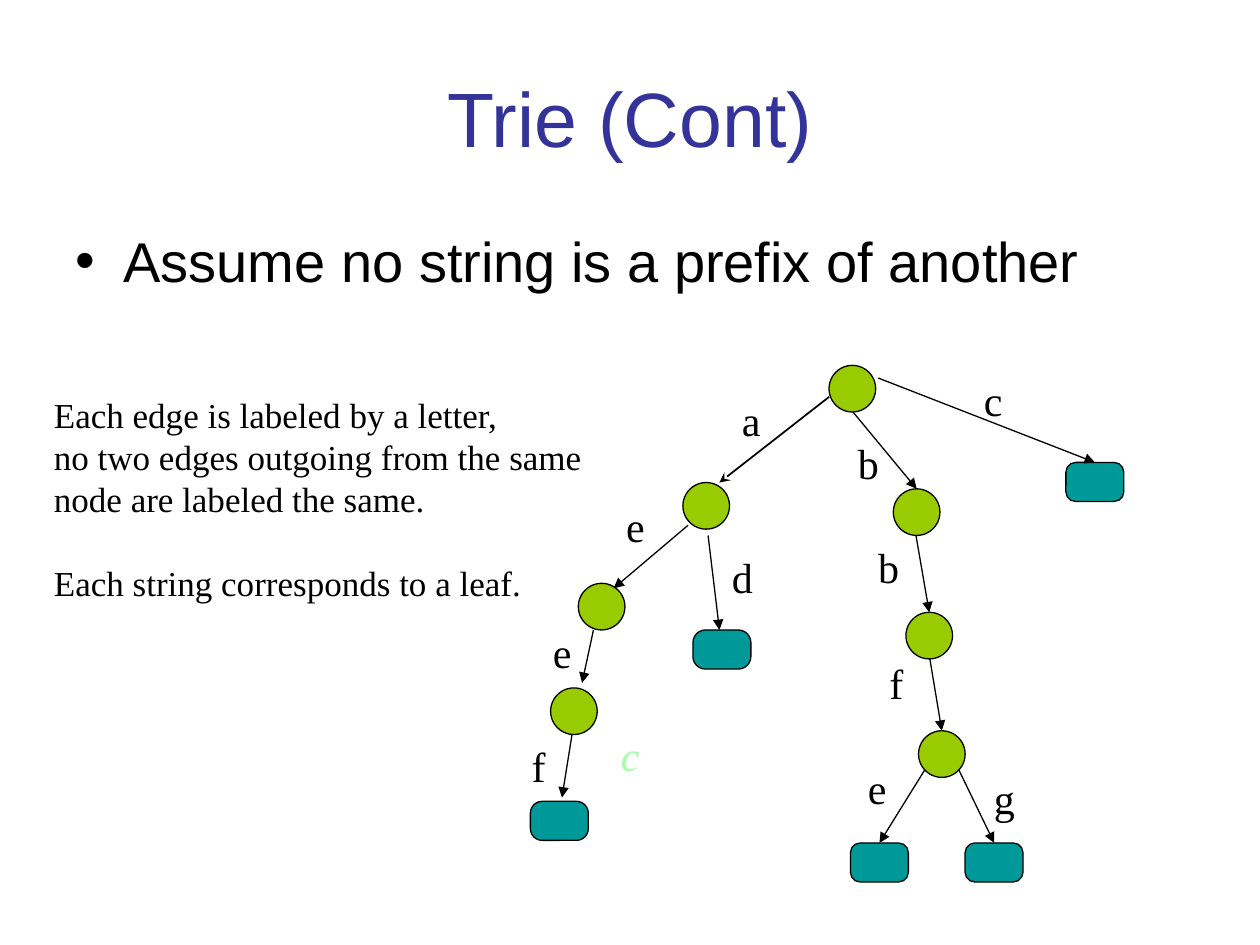
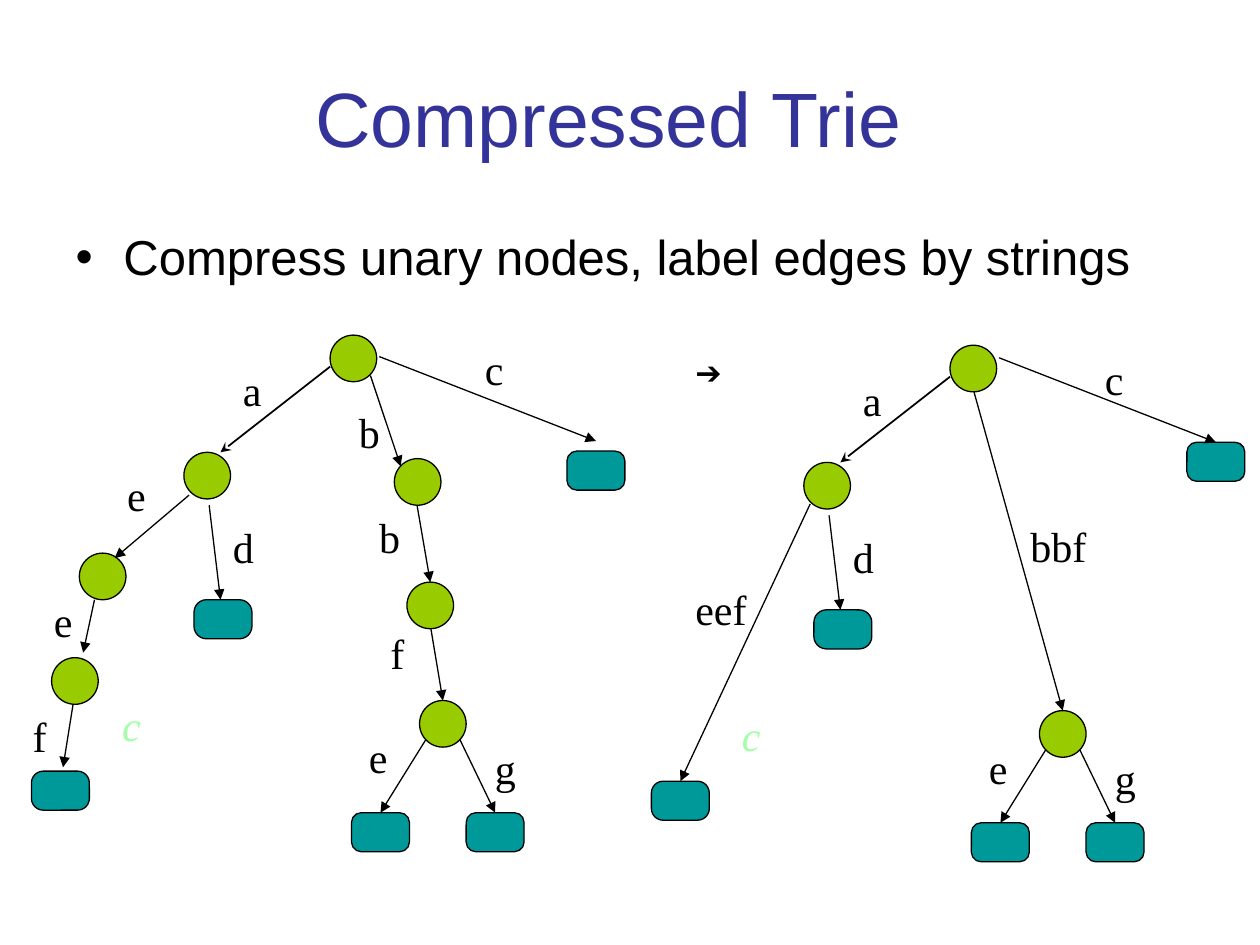
from typing import NamedTuple

from lxml import etree
from pptx import Presentation
from pptx.dml.color import RGBColor
from pptx.enum import shapes, text
from pptx.oxml.ns import qn
from pptx.slide import Slide
from pptx.text.text import TextFrame
from pptx.util import Inches, Pt

# Shared look
BLACK = RGBColor(0x00, 0x00, 0x00)
TITLE_BLUE = RGBColor(0x33, 0x33, 0x99)
NODE_GREEN = RGBColor(0x99, 0xCC, 0x00)
LEAF_TEAL = RGBColor(0x00, 0x99, 0x99)
PALE_GREEN = RGBColor(0xA3, 0xFF, 0xA7)
SANS, SERIF = "Arial", "Times New Roman"
NODE_SIZE = 0.37
LEAF_WIDTH, LEAF_HEIGHT = 0.46, 0.31

Point = tuple[float, float]


class Node(NamedTuple):
    left: float
    top: float


class Leaf(NamedTuple):
    left: float
    top: float
    rounding: float = 0.25


class Edge(NamedTuple):
    start: Point
    end: Point | str  # a point, or the vertex whose top is reached
    head: str = "triangle"
    weight: float = 0.75


class Label(NamedTuple):
    letters: str
    left: float
    top: float
    width: float = 0.42
    color: RGBColor = BLACK
    italic: bool = False


class Trie(NamedTuple):
    vertices: dict[str, Node | Leaf]
    edges: list[Edge]
    labels: list[Label]


# Parts found in every trie
COMMON = Trie(
    {
        "root": Node(6.58, 2.9),
        "a": Node(5.42, 3.83),
        "branch": Node(7.29, 5.8),
        "aeef": Leaf(4.21, 6.36, 0.3),
        "ad": Leaf(5.5, 5, 0.32),
        "bbfe": Leaf(6.75, 6.69),
        "bbfg": Leaf(7.66, 6.69),
    },
    [
        Edge((6.58, 3.15), (5.71, 3.83), "stealth", 1),
        Edge((5.62, 4.25), (5.71, 5)),
        Edge((7.34, 6.11), "bbfe"),
        Edge((7.61, 6.11), "bbfg"),
    ],
    [
        Label("a", 5.79, 3.08, 0.75),
        Label("c", 7.71, 2.92, 0.5),
        Label("d", 5.71, 4.33, 0.75),
        Label("e", 6.79, 6),
        Label("g", 7.79, 6.08),
        Label("c", 4.83, 5.74, 0.58, PALE_GREEN, True),
    ],
)

# Unary nodes, present until the trie is compressed
UNARY = Trie(
    {
        "ae": Node(4.59, 4.63),
        "aee": Node(4.37, 5.46),
        "b": Node(7.09, 3.88),
        "bb": Node(7.19, 4.86),
    },
    [
        Edge((5.46, 4.17), (4.87, 4.67)),
        Edge((4.71, 5), (4.62, 5.42)),
        Edge((4.54, 5.83), (4.46, 6.33)),
        Edge((7.27, 4.25), "bb"),
        Edge((7.38, 5.23), "branch"),
    ],
    [
        Label("e", 4.87, 3.92, 0.75),
        Label("e", 4.29, 4.92, 0.75),
        Label("f", 4.12, 5.83, 0.75),
        Label("b", 6.71, 3.42),
        Label("b", 6.87, 4.25),
        Label("f", 6.96, 5.17),
    ],
)

# The c leaf and the remaining edges of each trie
PLAIN_ENDS = Trie(
    {"c": Leaf(8.46, 3.67)},
    [Edge((6.97, 3), "c"), Edge((6.77, 3.27), "b")],
    [],
)
BEFORE_ENDS = Trie(
    {"c": Leaf(8.46, 3.82)},
    [Edge((6.97, 3.07), (8.69, 3.74)), Edge((6.9, 3.22), (7.14, 3.94))],
    [],
)
AFTER_ENDS = Trie(
    {"c": Leaf(8.46, 3.67)},
    [
        Edge((6.97, 3), "c"),
        Edge((6.77, 3.27), "branch"),
        Edge((5.47, 4.16), "aeef"),
    ],
    [Label("bbf", 7.12, 4.24, 0.83), Label("eef", 4.46, 4.74, 0.75)],
)


def combine(*parts: Trie) -> Trie:
    return Trie(
        {key: vertex for part in parts for key, vertex in part.vertices.items()},
        [edge for part in parts for edge in part.edges],
        [label for part in parts for label in part.labels],
    )


def write(frame: TextFrame, *lines: str, size: float, font: str = SERIF,
          color: RGBColor = BLACK, italic: bool = False, bullet: bool = False,
          align: text.PP_ALIGN = text.PP_ALIGN.LEFT) -> None:
    """Fill a frame with one paragraph per line."""
    frame.word_wrap = True
    for index, line in enumerate(lines):
        paragraph = frame.add_paragraph() if index else frame.paragraphs[0]
        if bullet:
            properties = paragraph._p.get_or_add_pPr()
            properties.set("marL", str(Inches(0.38)))
            properties.set("indent", str(-Inches(0.38)))
            etree.SubElement(properties, qn("a:buChar")).set("char", "•")
        paragraph.alignment = align
        paragraph.space_before = Pt(0)
        run = paragraph.add_run()
        run.text = line
        run.font.size = Pt(size)
        run.font.name = font
        run.font.color.rgb = color
        run.font.italic = italic


def add_text(slide: Slide, left: float, top: float, width: float, height: float,
             *lines: str, **style) -> TextFrame:
    frame = slide.shapes.add_textbox(
        Inches(left), Inches(top), Inches(width), Inches(height)).text_frame
    write(frame, *lines, **style)
    frame.auto_size = text.MSO_AUTO_SIZE.SHAPE_TO_FIT_TEXT
    return frame


def draw_vertex(slide: Slide, vertex: Node | Leaf, dx: float, dy: float):
    is_leaf = isinstance(vertex, Leaf)
    kind = shapes.MSO_SHAPE.ROUNDED_RECTANGLE if is_leaf else shapes.MSO_SHAPE.OVAL
    width, height = (LEAF_WIDTH, LEAF_HEIGHT) if is_leaf else (NODE_SIZE, NODE_SIZE)
    drawn = slide.shapes.add_shape(
        kind, Inches(vertex.left + dx), Inches(vertex.top + dy),
        Inches(width), Inches(height))
    if is_leaf:
        drawn.adjustments[0] = vertex.rounding
    drawn.shadow.inherit = False
    drawn.fill.solid()
    drawn.fill.fore_color.rgb = LEAF_TEAL if is_leaf else NODE_GREEN
    drawn.line.color.rgb = BLACK
    drawn.line.width = Pt(0.75)
    return drawn


def draw_edge(slide: Slide, edge: Edge, drawn: dict, dx: float, dy: float) -> None:
    x, y = edge.start
    reaches_vertex = isinstance(edge.end, str)
    end_x, end_y = edge.start if reaches_vertex else edge.end
    arrow = slide.shapes.add_connector(
        shapes.MSO_CONNECTOR.STRAIGHT, Inches(x + dx), Inches(y + dy),
        Inches(end_x + dx), Inches(end_y + dy))
    if reaches_vertex:
        arrow.end_connect(drawn[edge.end], 0)
    arrow.line.color.rgb = BLACK
    arrow.line.width = Pt(edge.weight)
    etree.SubElement(arrow.line._get_or_add_ln(), qn("a:tailEnd")).set("type", edge.head)
    etree.SubElement(arrow._element.spPr, qn("a:effectLst"))


def draw_trie(slide: Slide, trie: Trie, dx: float = 0, dy: float = 0) -> None:
    drawn = {key: draw_vertex(slide, vertex, dx, dy)
             for key, vertex in trie.vertices.items()}
    for edge in trie.edges:
        draw_edge(slide, edge, drawn, dx, dy)
    for label in trie.labels:
        add_text(slide, label.left + dx, label.top + dy, label.width, 0.5,
                 label.letters, size=24, color=label.color, italic=label.italic)


def add_slide(deck, heading: str, point: str, point_size: float) -> Slide:
    slide = deck.slides.add_slide(deck.slide_layouts[1])
    title, body = slide.shapes.title, slide.placeholders[1]
    for holder, top, height in ((title, 0.3, 1.25), (body, 1.75, 0.75)):
        holder.left, holder.top = Inches(0.5), Inches(top)
        holder.width, holder.height = Inches(9), Inches(height)
        holder.text_frame.auto_size = text.MSO_AUTO_SIZE.NONE
    title.text_frame.vertical_anchor = text.MSO_ANCHOR.MIDDLE
    write(title.text_frame, heading, size=44, font=SANS, color=TITLE_BLUE,
          align=text.PP_ALIGN.CENTER)
    write(body.text_frame, point, size=point_size, font=SANS, bullet=True)
    return slide


def main() -> None:
    deck = Presentation()
    deck.slide_width, deck.slide_height = Inches(10), Inches(7.5)

    # Trie with one letter per edge
    plain = add_slide(deck, "Trie (Cont)", "Assume no string is a prefix of another", 32)
    draw_trie(plain, combine(COMMON, UNARY, PLAIN_ENDS))
    notes = add_text(
        plain, 0.33, 3.07, 4.5, 1.77,
        "Each edge is labeled by a letter,",
        "no two edges outgoing from the same node are labeled the same.",
        "Each string corresponds to a leaf.", size=20)
    notes.paragraphs[-1].space_before = Pt(24)

    # Trie before and after compression
    compressed = add_slide(
        deck, "Compressed Trie", "Compress unary nodes, label edges by strings", 28)
    compressed.shapes.title.text_frame.margin_right = Inches(0.44)
    draw_trie(compressed, combine(COMMON, UNARY, BEFORE_ENDS), -3.96, -0.24)
    draw_trie(compressed, combine(COMMON, AFTER_ENDS), 0.96, -0.16)
    add_text(compressed, 5.42, 2.75, 1, 0.4, "➔", size=18, font=SANS)

    deck.save("out.pptx")


if __name__ == "__main__":
    main()
